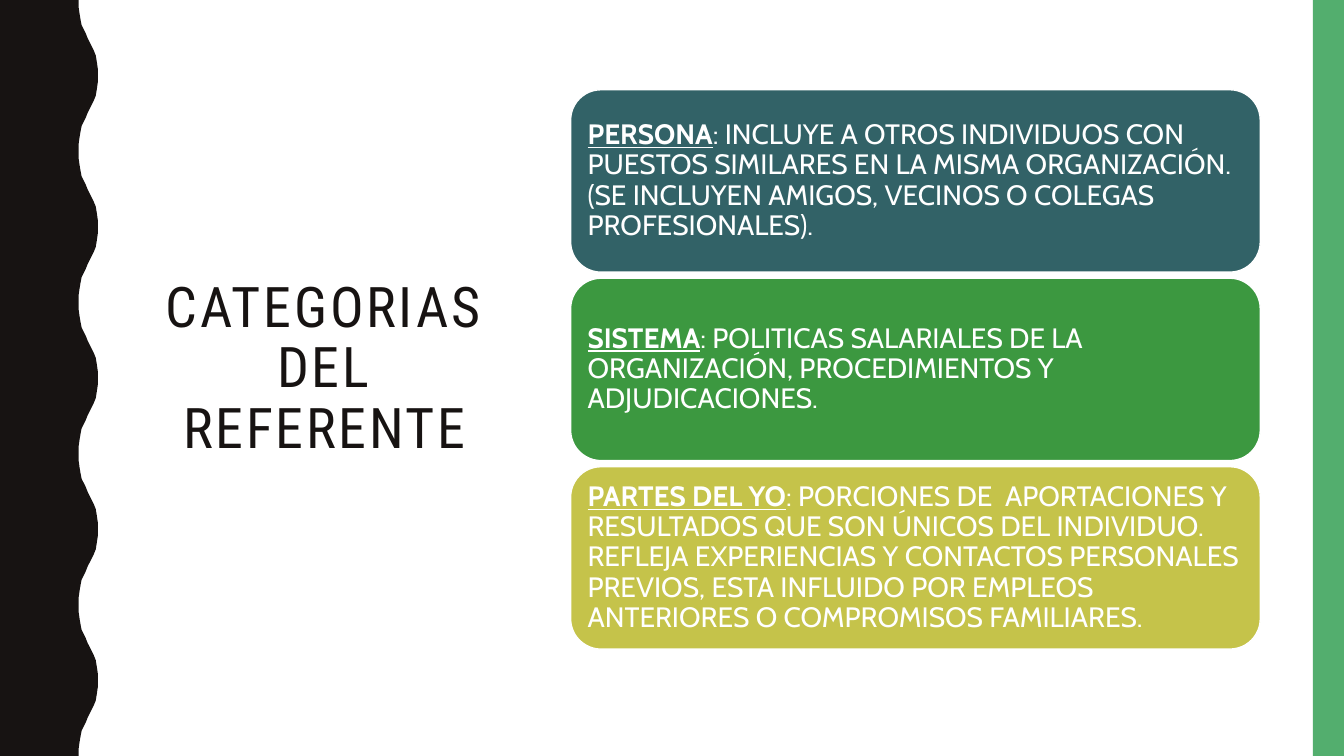
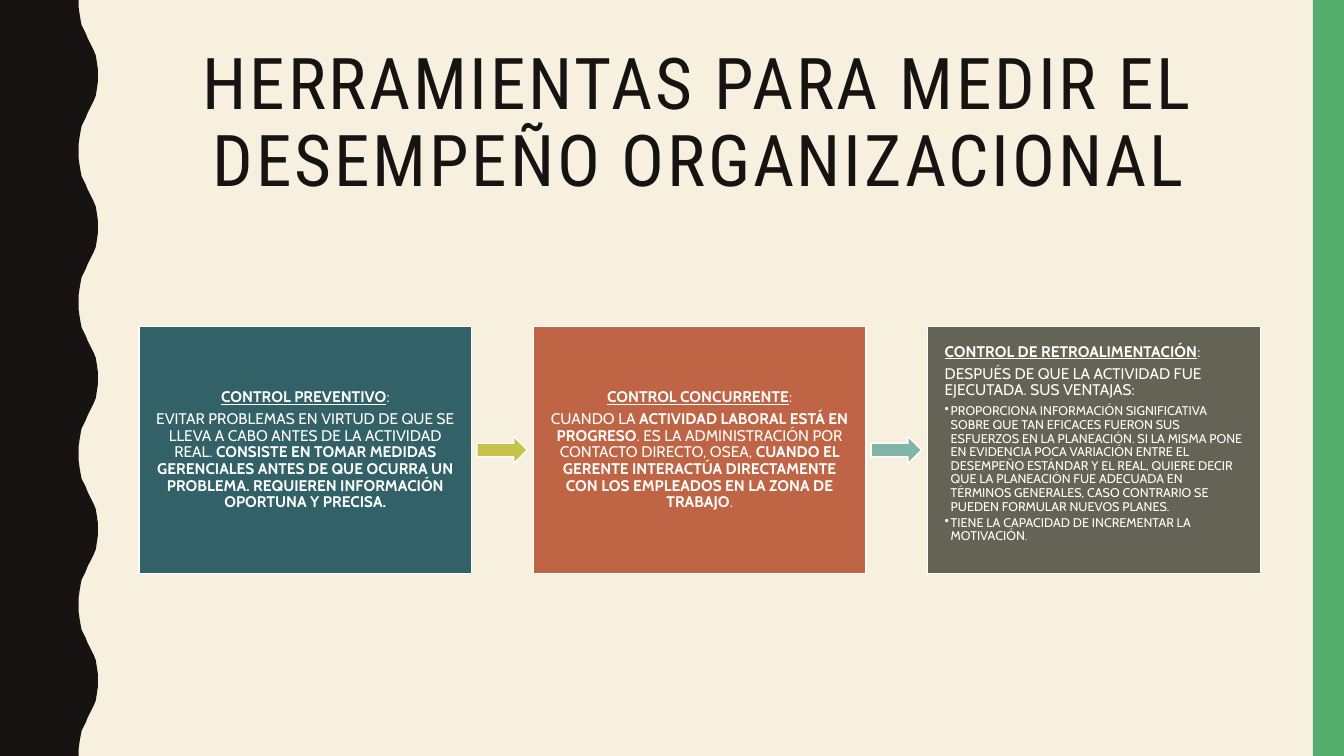
from lxml.etree import SubElement
from pptx import Presentation
from pptx.dml.color import RGBColor
from pptx.enum.shapes import MSO_SHAPE as Shape
from pptx.enum.text import MSO_ANCHOR as Anchor, PP_ALIGN as Align
from pptx.oxml.ns import qn
from pptx.util import Pt

PX = 9144
WIDTH, HEIGHT = 1333, 750
COLORS = {
    "white": "FFFFFF", "cream": "F7F0DF", "black": "171312", "band": "53AE6E",
    "teal": "326267", "green": "3C9840", "olive": "C5C34A", "rust": "BF6546",
    "gray": "636455", "mint": "81B5A8",
}
WAVE_PERIOD = 150
WAVE_RISE = [
    (78, 0), (78, 7), (79, 14), (80, 20), (81, 25), (83, 29), (85, 33), (87, 38),
    (89, 42), (91, 46), (93, 50), (95, 55), (96, 61), (97, 68), (97, 75),
]
PLAIN = {"bold": False, "underline": False}
BOLD = {"bold": True, "underline": False}
HEADING = {"bold": True, "underline": True}


def color(name):
    return RGBColor.from_string(COLORS[name])


def apply(target, values):
    for name, value in values.items():
        setattr(target, name, value)


class Deck:
    title_font = "Roboto Condensed"
    body_font = "Cabin"
    line_spacing = 0.9

    def __init__(self):
        self.presentation = Presentation()
        apply(self.presentation, {"slide_width": WIDTH * PX, "slide_height": HEIGHT * PX})
        self.slide = None

    def add_slide(self, background):
        self.slide = self.presentation.slides.add_slide(self.presentation.slide_layouts[6])
        fill = self.slide.background.fill
        fill.solid()
        fill.fore_color.rgb = color(background)
        self.wave()
        self.block(Shape.RECTANGLE, (1302, 0, 31, HEIGHT), "band", outline=None)

    def paint(self, shape, fill, outline):
        shape.shadow.inherit = False
        shape.fill.solid()
        shape.fill.fore_color.rgb = color(fill)
        if outline:
            shape.line.color.rgb = color(outline)
            shape.line.width = Pt(1)
        else:
            shape.line.fill.background()

    def wave(self):
        fall = [(x, WAVE_PERIOD - y) for x, y in reversed(WAVE_RISE[1:-1])]
        edge = [
            (x, y + top)
            for top in range(0, HEIGHT, WAVE_PERIOD)
            for x, y in WAVE_RISE + fall
        ]
        builder = self.slide.shapes.build_freeform(0, 0, scale=PX)
        builder.add_line_segments(edge + [(WAVE_RISE[0][0], HEIGHT), (0, HEIGHT)], close=True)
        self.paint(builder.convert_to_shape(), "black", None)

    def block(self, kind, box, fill, outline="white"):
        shape = self.slide.shapes.add_shape(kind, *(value * PX for value in box))
        self.paint(shape, fill, outline)
        return shape

    def frame(self, shape, inset_x, inset_y, anchor):
        apply(shape.text_frame, {
            "word_wrap": True, "vertical_anchor": anchor,
            "margin_left": inset_x * PX, "margin_right": inset_x * PX,
            "margin_top": inset_y * PX, "margin_bottom": inset_y * PX,
        })
        return shape.text_frame

    def title(self, text, box, size):
        shape = self.slide.shapes.add_textbox(*(value * PX for value in box))
        paragraph = self.frame(shape, 10, 5, Anchor.MIDDLE).paragraphs[0]
        apply(paragraph, {"alignment": Align.CENTER, "line_spacing": self.line_spacing})
        run = paragraph.add_run()
        run.text = text
        apply(run.font, {"name": self.title_font, "size": Pt(size)})
        run.font.color.rgb = color("black")
        run._r.get_or_add_rPr().set("spc", "200")

    def bullet(self, paragraph):
        properties = paragraph._p.get_or_add_pPr()
        apply(paragraph, {"level": 1})
        properties.set("marL", str(6 * PX))
        properties.set("indent", str(-6 * PX))
        SubElement(properties, qn("a:buChar")).set("char", "•")

    def body(self, shape, paragraphs, size, inset, align=Align.LEFT,
             anchor=Anchor.MIDDLE, bullets=()):
        frame = self.frame(shape, inset, inset, anchor)
        entries = [(runs, size, 4, False) for runs in paragraphs]
        entries += [([(text, PLAIN)], 9, 1.5, True) for text in bullets]
        for index, (runs, points, gap, bulleted) in enumerate(entries):
            paragraph = frame.add_paragraph() if index else frame.paragraphs[0]
            if bulleted:
                self.bullet(paragraph)
            apply(paragraph, {"alignment": align, "line_spacing": self.line_spacing})
            if index < len(entries) - 1:
                paragraph.space_after = Pt(gap)
            for text, emphasis in runs:
                run = paragraph.add_run()
                run.text = text
                apply(run.font, {"name": self.body_font, "size": Pt(points), **emphasis})
                run.font.color.rgb = color("white")


def add_categories(deck):
    deck.add_slide("white")
    deck.title("CATEGORIAS DEL REFERENTE", (137, 71, 370, 591), 40)
    categories = [
        ("PERSONA", ": INCLUYE A OTROS INDIVIDUOS CON PUESTOS SIMILARES EN LA MISMA "
         "ORGANIZACIÓN. (SE INCLUYEN AMIGOS, VECINOS O COLEGAS PROFESIONALES).", "teal"),
        ("SISTEMA", ": POLITICAS SALARIALES DE LA ORGANIZACIÓN, PROCEDIMIENTOS Y "
         "ADJUDICACIONES.", "green"),
        ("PARTES DEL YO", ": PORCIONES DE  APORTACIONES Y RESULTADOS QUE SON ÚNICOS DEL "
         "INDIVIDUO. REFLEJA EXPERIENCIAS Y CONTACTOS PERSONALES PREVIOS, ESTA INFLUIDO "
         "POR EMPLEOS ANTERIORES O COMPROMISOS FAMILIARES.", "olive"),
    ]
    for row, (name, description, fill) in enumerate(categories):
        card = deck.block(Shape.ROUNDED_RECTANGLE, (566, 89 + row * 187, 684, 181), fill)
        deck.body(card, [[(name, HEADING), (description, PLAIN)]], 20, 8)


def add_controls(deck):
    deck.add_slide("cream")
    deck.title("HERRAMIENTAS PARA MEDIR EL DESEMPEÑO ORGANIZACIONAL",
               (137, 42, 1113, 163), 51)
    centered = {"align": Align.CENTER}
    controls = [
        ("CONTROL PREVENTIVO", "teal", [
            ("EVITAR PROBLEMAS EN VIRTUD DE QUE SE LLEVA A CABO ANTES DE LA ACTIVIDAD "
             "REAL. ", PLAIN),
            ("CONSISTE EN TOMAR MEDIDAS GERENCIALES ANTES DE QUE OCURRA UN PROBLEMA. "
             "REQUIEREN INFORMACIÓN OPORTUNA Y PRECISA.", BOLD),
        ], centered),
        ("CONTROL CONCURRENTE", "rust", [
            ("CUANDO LA ", PLAIN),
            ("ACTIVIDAD LABORAL ESTÁ EN PROGRESO", BOLD),
            (". ES LA ADMINISTRACIÓN POR CONTACTO DIRECTO, OSEA, ", PLAIN),
            ("CUANDO EL GERENTE INTERACTÚA DIRECTAMENTE CON LOS EMPLEADOS EN LA ZONA "
             "DE TRABAJO", BOLD),
            (".", PLAIN),
        ], centered),
        ("CONTROL DE RETROALIMENTACIÓN", "gray", [
            ("DESPUÉS DE QUE LA ACTIVIDAD FUE EJECUTADA. SUS VENTAJAS:", PLAIN),
        ], {"anchor": Anchor.TOP, "bullets": [
            "PROPORCIONA INFORMACIÓN SIGNIFICATIVA SOBRE QUE TAN EFICACES FUERON SUS "
            "ESFUERZOS EN LA PLANEACIÓN. SI LA MISMA PONE EN EVIDENCIA POCA VARIACIÓN "
            "ENTRE EL DESEMPEÑO ESTÁNDAR Y EL REAL, QUIERE DECIR QUE LA PLANEACIÓN FUE "
            "ADECUADA EN TÉRMINOS GENERALES, CASO CONTRARIO SE PUEDEN FORMULAR NUEVOS "
            "PLANES.",
            "TIENE LA CAPACIDAD DE INCREMENTAR LA MOTIVACIÓN.",
        ]}),
    ]
    left, pitch = 138, 391
    for column, (name, fill, description, layout) in enumerate(controls):
        card = deck.block(Shape.RECTANGLE, (left + column * pitch, 324, 330, 245), fill)
        heading = [(name, HEADING), (":", PLAIN)]
        deck.body(card, [heading, description], 11, 17, **layout)
    for column, fill in enumerate(["olive", "mint"]):
        deck.block(Shape.RIGHT_ARROW, (left + 335 + column * pitch, 433, 50, 27), fill)


def main():
    deck = Deck()
    add_categories(deck)
    add_controls(deck)
    deck.presentation.save("out.pptx")


if __name__ == "__main__":
    main()
